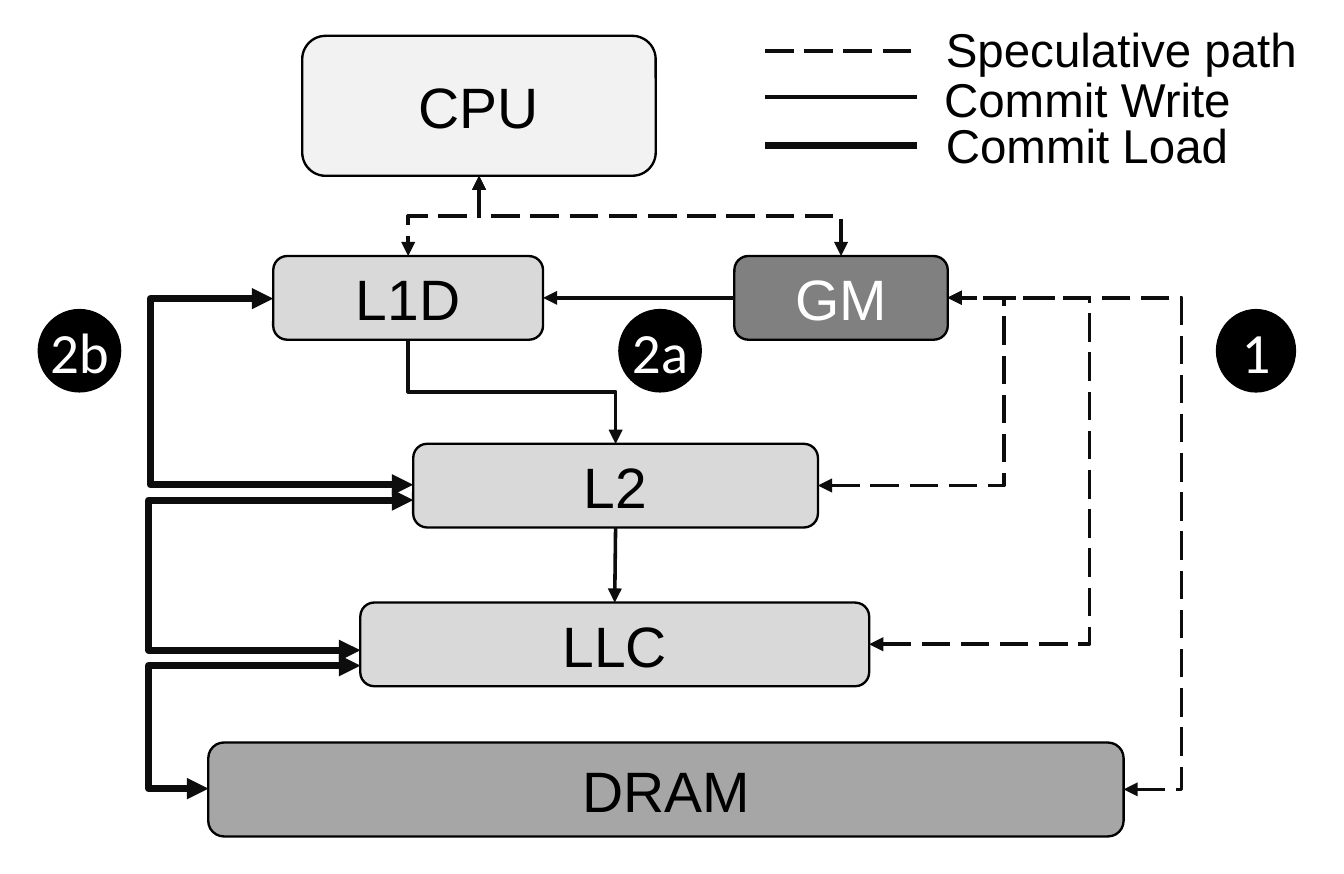
"""Draw the memory hierarchy with its speculative and commit paths."""
from dataclasses import dataclass
from typing import Any, NamedTuple, Optional

from lxml.etree import SubElement
from pptx import Presentation
from pptx.dml.color import RGBColor
from pptx.enum.dml import MSO_LINE
from pptx.enum.shapes import MSO_CONNECTOR, MSO_SHAPE
from pptx.enum.text import MSO_ANCHOR, PP_ALIGN
from pptx.oxml.ns import qn
from pptx.util import Inches, Pt

ROUND, OVAL = MSO_SHAPE.ROUNDED_RECTANGLE, MSO_SHAPE.OVAL
STRAIGHT, ELBOW = MSO_CONNECTOR.STRAIGHT, MSO_CONNECTOR.ELBOW
DASH = MSO_LINE.LONG_DASH
MIDDLE, TOP = MSO_ANCHOR.MIDDLE, MSO_ANCHOR.TOP
CENTER, LEFT = PP_ALIGN.CENTER, PP_ALIGN.LEFT


@dataclass(frozen=True)
class Theme:
    """Hold the colours, fonts and sizes."""
    black: str = "000000"
    white: str = "FFFFFF"
    ink: str = "0D0D0D"
    pale: str = "F2F2F2"
    light: str = "D9D9D9"
    mid: str = "A6A6A6"
    dark: str = "808080"
    sans: str = "Arial"
    badge: str = "Calibri"
    large: float = 24
    small: float = 20
    edge: float = 1
    thin: float = 1.5
    thick: float = 3


class Point(NamedTuple):
    """Hold a place in inches."""
    x: float
    y: float


@dataclass(frozen=True)
class Box:
    """Describe a labelled memory unit."""
    text: str
    x: float
    y: float
    w: float
    h: float
    fill: str
    color: str = "000000"

    def at(self, fx: float, fy: float) -> Point:
        """Return the point at the given fractions of the box."""
        return Point(self.x + fx * self.w, self.y + fy * self.h)


@dataclass(frozen=True)
class Pen:
    """Describe a line style."""
    width: float
    dash: Any = None
    head: bool = False
    tail: bool = False


class Key(NamedTuple):
    """Describe a legend row."""
    text: str
    x: float
    y: float
    line: float
    pen: Pen


THEME = Theme()
SPEC = Pen(THEME.thin, DASH, True, True)
WRITE = Pen(THEME.thin, tail=True)
LOAD = Pen(THEME.thick, head=True, tail=True)
L1D = Box("L1D", 1.6, 1.5, 1.58, 0.49, THEME.light)
L2 = Box("L2", 2.42, 2.6, 2.37, 0.49, THEME.light)
LLC = Box("LLC", 2.11, 3.53, 2.98, 0.49, THEME.light)
DRAM = Box("DRAM", 1.22, 4.35, 5.36, 0.55, THEME.mid)
CPU = Box("CPU", 1.77, 0.21, 2.07, 0.82, THEME.pale)
GM = Box("GM", 4.3, 1.5, 1.25, 0.49, THEME.dark, THEME.white)
BOXES = (L1D, L2, LLC, DRAM, CPU, GM)
BADGES = (Box("2b", 0.22, 1.81, 0.49, 0.49, THEME.black, THEME.white),
          Box("2a", 3.62, 1.81, 0.49, 0.49, THEME.black, THEME.white),
          Box("1", 7.12, 1.81, 0.47, 0.49, THEME.black, THEME.white))
RAILS = ((L2, 5.88), (LLC, 6.38), (DRAM, 6.92))
LOADS = ((L2, 2.84, L1D, 1.75, 0.88), (LLC, 3.81, L2, 2.93, 0.87),
         (DRAM, 4.62, LLC, 3.9, 0.87))
KEYS = (Key("Speculative path", 5.44, 0.07, 0.3, Pen(THEME.thin, DASH)),
        Key("Commit Write", 5.43, 0.36, 0.57, Pen(THEME.thin)),
        Key("Commit Load", 5.44, 0.63, 0.85, Pen(THEME.thick)))


def put(item: Any, vals: dict[str, Any]) -> None:
    """Set each named value on the item."""
    for name, val in vals.items():
        setattr(item, name, val)


def write(shape: Any, text: str, font: str, size: float, color: str,
          frame: dict[str, Any], align: Any) -> None:
    """Write one formatted line of text in a shape."""
    put(shape.text_frame, {"word_wrap": False, **frame})
    para = shape.text_frame.paragraphs[0]
    para.alignment = align
    run = para.add_run()
    run.text = text
    put(run.font, {"name": font, "size": Pt(size)})
    run.font.color.rgb = RGBColor.from_string(color)


def block(shapes: Any, box: Box, kind: Any, font: str, edge: float) -> None:
    """Draw a filled shape with a centred label."""
    shape = shapes.add_shape(kind, *map(Inches, (box.x, box.y, box.w, box.h)))
    shape.shadow.inherit = False
    shape.fill.solid()
    shape.fill.fore_color.rgb = RGBColor.from_string(box.fill)
    if edge:
        shape.line.color.rgb = RGBColor.from_string(THEME.black)
        shape.line.width = Pt(edge)
    else:
        shape.line.fill.background()
    sides = ("margin_left", "margin_right", "margin_top", "margin_bottom")
    frame = {"vertical_anchor": MIDDLE, **dict.fromkeys(sides, 0)}
    write(shape, box.text, font, THEME.large, box.color, frame, CENTER)


def link(shapes: Any, start: Point, end: Point, pen: Pen,
         kind: Any = STRAIGHT, rail: Optional[float] = None) -> Any:
    """Draw a connector, turning at the rail if one is given."""
    line = shapes.add_connector(kind, *map(Inches, (*start, *end)))
    line.line.color.rgb = RGBColor.from_string(THEME.ink)
    put(line.line, {"width": Pt(pen.width), "dash_style": pen.dash})
    props = line._element.spPr
    edge = props.find(qn("a:ln"))
    for tag, shown in (("a:headEnd", pen.head), ("a:tailEnd", pen.tail)):
        if shown:
            SubElement(edge, qn(tag), type="triangle")
    SubElement(props, qn("a:effectLst"))
    if rail is not None:
        turn = round((rail - start.x) / (end.x - start.x) * 100000)
        guides = props.find(qn("a:prstGeom")).find(qn("a:avLst"))
        SubElement(guides, qn("a:gd"), name="adj1", fmla=f"val {turn}")
    return line


def drop(shapes: Any, start: Point, end: Point, pen: Pen) -> None:
    """Draw a stepped connector that leaves downwards."""
    mid = Point((start.x + end.x) / 2, (start.y + end.y) / 2)
    side = 1 if end.x > start.x else -1
    half = side * (end.y - start.y) / 2
    rise = abs(end.x - start.x) / 2
    line = link(shapes, Point(mid.x + half, mid.y - rise),
                Point(mid.x - half, mid.y + rise), pen, ELBOW)
    angle = 270 if side > 0 else 90
    line._element.spPr.find(qn("a:xfrm")).set("rot", str(angle * 60000))


def main() -> None:
    """Build and save the slide."""
    deck = Presentation()
    put(deck, {"slide_width": Inches(7.87), "slide_height": Inches(5.12)})
    shapes = deck.slides.add_slide(deck.slide_layouts[6]).shapes
    for box in BOXES:
        block(shapes, box, ROUND, THEME.sans, THEME.edge)
    for box, rail in RAILS:
        link(shapes, box.at(1, 0.5), GM.at(1, 0.5), SPEC, ELBOW, rail)
    link(shapes, GM.at(0, 0.5), L1D.at(1, 0.5), WRITE)
    drop(shapes, L1D.at(0.5, 1), L2.at(0.5, 0), WRITE)
    link(shapes, L2.at(0.5, 1), LLC.at(0.5, 0), WRITE)
    for low, base, high, top, rail in LOADS:
        link(shapes, Point(low.x, base), Point(high.x, top), LOAD, ELBOW, rail)
    for box in (L1D, GM):
        drop(shapes, CPU.at(0.5, 1), box.at(0.5, 0), SPEC)
    for key in KEYS:
        link(shapes, Point(4.48, key.line), Point(5.37, key.line), key.pen)
        label = shapes.add_textbox(*map(Inches, (key.x, key.y, 2.4, 0.44)))
        write(label, key.text, THEME.sans, THEME.small, THEME.black,
              {"vertical_anchor": TOP}, LEFT)
    for badge in BADGES:
        block(shapes, badge, OVAL, THEME.badge, 0)
    deck.save("out.pptx")


if __name__ == "__main__":
    main()
